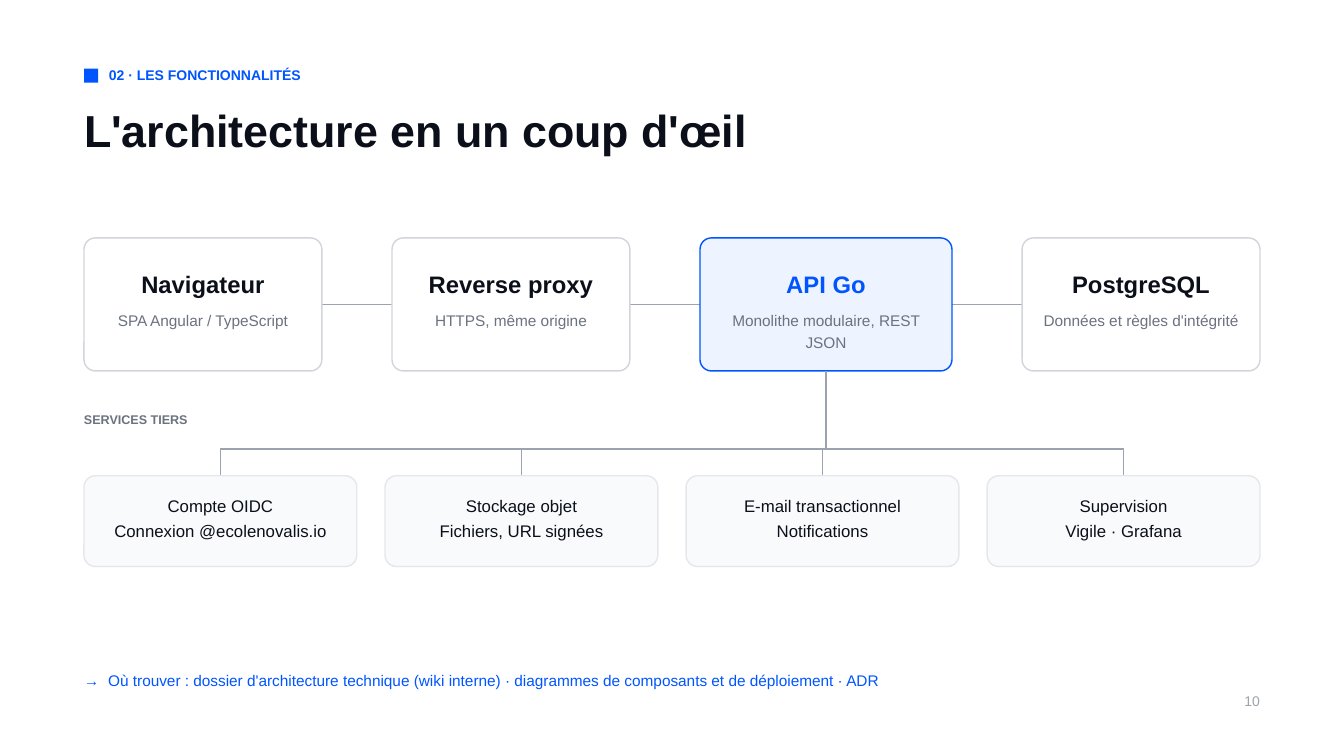
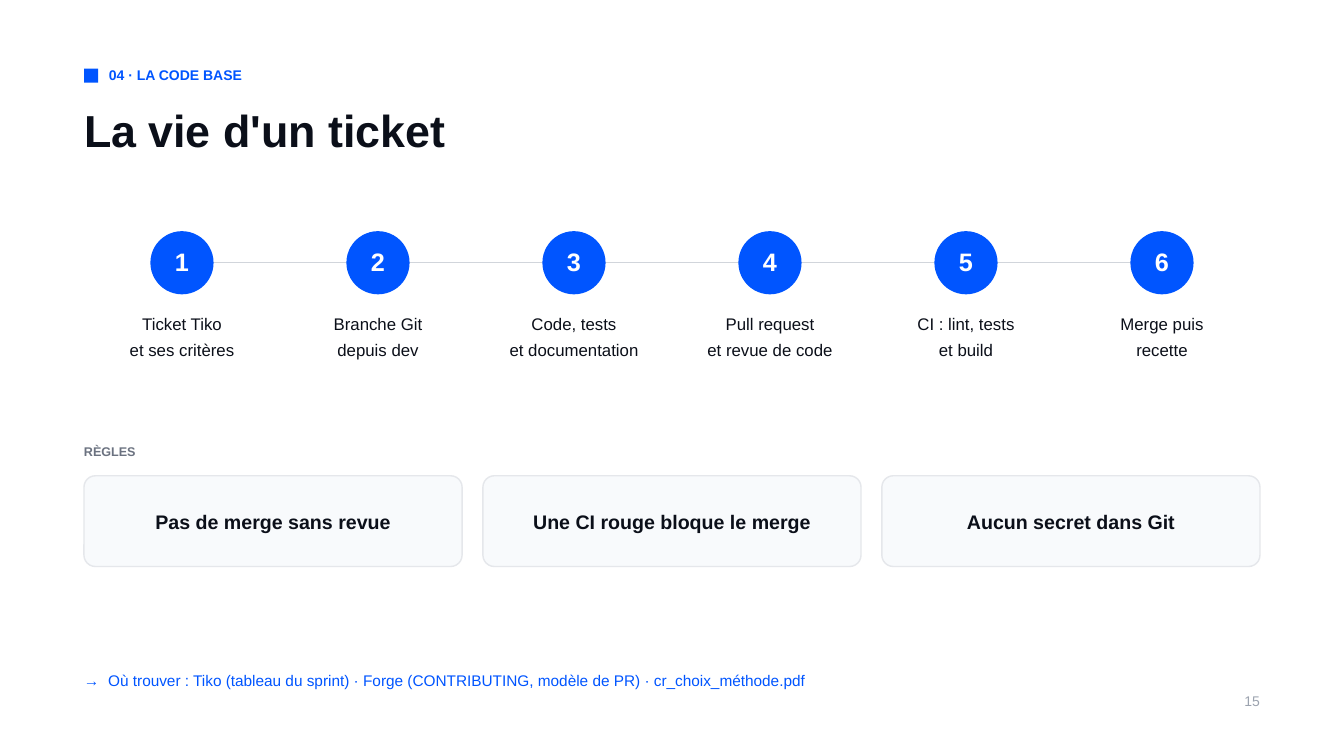
from lxml import etree
from pptx import Presentation
from pptx.dml.color import RGBColor
from pptx.enum.shapes import MSO_CONNECTOR, MSO_SHAPE
from pptx.enum.text import MSO_ANCHOR, MSO_AUTO_SIZE, PP_ALIGN
from pptx.oxml.ns import qn
from pptx.util import Inches, Pt

LEFT, CENTER, RIGHT = PP_ALIGN.LEFT, PP_ALIGN.CENTER, PP_ALIGN.RIGHT
TOP = MSO_ANCHOR.TOP
NO_AUTOFIT = MSO_AUTO_SIZE.NONE
RECTANGLE, OVAL = MSO_SHAPE.RECTANGLE, MSO_SHAPE.OVAL
ROUNDED = MSO_SHAPE.ROUNDED_RECTANGLE
STRAIGHT = MSO_CONNECTOR.STRAIGHT

FONT = "Arial"
BLUE, PALE_BLUE = "0055FF", "EEF4FF"
INK, SLATE, GREY = "0B0F19", "6B7280", "9CA3AF"
BORDER, SOFT_BORDER = "D1D5DB", "E5E7EB"
WHITE, MIST = "FFFFFF", "F8FAFC"

MARGIN, CONTENT_WIDTH = 1.25, 17.5
RADIUS = 0.17
LOWER_TOP, LOWER_HEIGHT = 7.08, 1.35

CORE = [
    ("Navigateur", "SPA Angular / TypeScript", 3.54),
    ("Reverse proxy", "HTTPS, même origine", 3.54),
    ("API Go", "Monolithe modulaire, REST JSON", 3.75),
    ("PostgreSQL", "Données et règles d'intégrité", 3.54),
]
SERVICES = [
    ("Compte OIDC", "Connexion @ecolenovalis.io"),
    ("Stockage objet", "Fichiers, URL signées"),
    ("E-mail transactionnel", "Notifications"),
    ("Supervision", "Vigile · Grafana"),
]
STEPS = [
    ("Ticket Tiko", "et ses critères"),
    ("Branche Git", "depuis dev"),
    ("Code, tests", "et documentation"),
    ("Pull request", "et revue de code"),
    ("CI : lint, tests", "et build"),
    ("Merge puis", "recette"),
]
RULES = ["Pas de merge sans revue", "Une CI rouge bloque le merge",
         "Aucun secret dans Git"]


def rgb(code):
    return RGBColor.from_string(code)


def spread(widths, gap):
    """Left edges of boxes laid side by side from the margin."""
    return [MARGIN + sum(widths[:i]) + i * gap for i in range(len(widths))]


class Deck:
    def __init__(self):
        self.prs = Presentation()
        self.prs.slide_width = Inches(20)
        self.prs.slide_height = Inches(11.25)
        self.slide = None

    def start(self, section, title, sources, number):
        """Adds a slide with its section mark, title, sources and number."""
        self.slide = self.prs.slides.add_slide(self.prs.slide_layouts[5])
        heading = self.slide.shapes.title
        heading.left, heading.top = Inches(MARGIN), Inches(1.59)
        heading.width, heading.height = Inches(CONTENT_WIDTH), Inches(0.76)
        self.fill_text(heading, [(title, 48, INK, True)], LEFT, 1.1)
        self.box(RECTANGLE, MARGIN, 1.02, 0.21, 0.21, BLUE)
        self.text(1.62, 0.95, 7.29, 0.3, [(section, 15, BLUE, True)])
        where = self.text(MARGIN, 9.94, 16.46, 0.33, [])
        paragraph = where.text_frame.paragraphs[0]
        tabs = etree.SubElement(paragraph._p.get_or_add_pPr(), qn("a:tabLst"))
        etree.SubElement(tabs, qn("a:tab"), pos=str(Inches(0.36)), algn="l")
        self.fill_text(where,
                       [("→\tOù trouver : " + sources, 16.5, BLUE, False)])
        self.text(18.12, 10.26, 0.63, 0.3, [(number, 15, GREY, False)], RIGHT)

    def fill_text(self, shape, lines, align=LEFT, leading=1.4, inset=(0, 0),
                  gap=0):
        """Fills a shape with lines of (text, size, colour, bold)."""
        frame = shape.text_frame
        frame.word_wrap = True
        frame.auto_size = NO_AUTOFIT
        frame.vertical_anchor = TOP
        side, top = inset
        frame.margin_left = frame.margin_right = Inches(side)
        frame.margin_top, frame.margin_bottom = Inches(top), 0
        for i, (words, size, color, bold) in enumerate(lines):
            paragraph = frame.add_paragraph() if i else frame.paragraphs[0]
            paragraph.alignment = align
            paragraph.line_spacing = Pt(round(size * leading, 1))
            paragraph.space_before = Pt(gap if i else 0)
            run = paragraph.add_run()
            run.text = words
            run.font.name, run.font.size, run.font.bold = FONT, Pt(size), bold
            run.font.color.rgb = rgb(color)

    def text(self, x, y, w, h, lines, align=LEFT, leading=1.4):
        area = self.slide.shapes.add_textbox(
            Inches(x), Inches(y), Inches(w), Inches(h))
        self.fill_text(area, lines, align, leading)
        return area

    def label(self, y, words):
        self.text(MARGIN, y, 4.17, 0.26, [(words, 13.5, SLATE, True)])

    def box(self, preset, x, y, w, h, fill, border=None):
        shape = self.slide.shapes.add_shape(
            preset, Inches(x), Inches(y), Inches(w), Inches(h))
        shape.shadow.inherit = False
        shape.fill.solid()
        shape.fill.fore_color.rgb = rgb(fill)
        if border:
            shape.line.color.rgb = rgb(border)
            shape.line.width = Pt(1.5)
        else:
            shape.line.fill.background()
        return shape

    def card(self, x, y, w, h, lines, inset, fill=MIST, border=SOFT_BORDER,
             leading=1.4, gap=0):
        shape = self.box(ROUNDED, x, y, w, h, fill, border)
        shape.adjustments[0] = RADIUS / min(w, h)
        self.fill_text(shape, lines, CENTER, leading, inset, gap)

    def line(self, x1, y1, x2, y2, color=GREY):
        link = self.slide.shapes.add_connector(
            STRAIGHT, Inches(x1), Inches(y1), Inches(x2), Inches(y2))
        link.line.color.rgb = rgb(color)
        link.line.width = Pt(1.5)
        etree.SubElement(link._element.spPr, qn("a:effectLst"))


def pair(lines):
    return [(words, 18, INK, False) for words in lines]


def architecture(deck):
    deck.start("02 · LES FONCTIONNALITÉS", "L'architecture en un coup d'œil",
               "dossier d'architecture technique (wiki interne) · diagrammes "
               "de composants et de déploiement · ADR", "10")
    top, height, rail = 3.54, 1.98, 6.68
    widths = [width for _, _, width in CORE]
    lefts = spread(widths, (CONTENT_WIDTH - sum(widths)) / (len(CORE) - 1))
    middle = top + height / 2
    deck.line(lefts[0] + widths[0], middle, lefts[-1], middle)
    for (name, role, width), left in zip(CORE, lefts):
        is_api = name == "API Go"
        lines = [(name, 25.5, BLUE if is_api else INK, True),
                 (role, 16.5, SLATE, False)]
        deck.card(left, top, width, height, lines, (0.16, 0.36),
                  PALE_BLUE if is_api else WHITE,
                  BLUE if is_api else BORDER, gap=10)
        if is_api:
            trunk = left + width / 2
            deck.line(trunk, top + height, trunk, rail)

    deck.label(6.1, "SERVICES TIERS")
    gap = 0.42
    width = (CONTENT_WIDTH + gap) / len(SERVICES) - gap
    lefts = spread([width] * len(SERVICES), gap)
    deck.line(lefts[0] + width / 2, rail, lefts[-1] + width / 2, rail)
    for service, left in zip(SERVICES, lefts):
        center = left + width / 2
        deck.line(center, rail, center, LOWER_TOP)
        deck.card(left, LOWER_TOP, width, LOWER_HEIGHT, pair(service),
                  (0.11, 0.17), leading=1.5)


def ticket_life(deck):
    deck.start("04 · LA CODE BASE", "La vie d'un ticket",
               "Tiko (tableau du sprint) · Forge (CONTRIBUTING, modèle de PR) "
               "· cr_choix_méthode.pdf", "15")
    diameter, middle, caption_width = 0.94, 3.91, 2.6
    pitch = CONTENT_WIDTH / len(STEPS)
    centers = [MARGIN + pitch * (i + 0.5) for i in range(len(STEPS))]
    deck.line(centers[0], middle, centers[-1], middle, BORDER)
    for number, (step, center) in enumerate(zip(STEPS, centers), 1):
        disc = deck.box(OVAL, center - diameter / 2, middle - diameter / 2,
                        diameter, diameter, BLUE)
        deck.fill_text(disc, [(str(number), 27, WHITE, True)], CENTER,
                       inset=(0, 0.02))
        deck.text(center - caption_width / 2, 4.6, caption_width, 0.76,
                  pair(step), CENTER, 1.5)

    deck.label(6.57, "RÈGLES")
    gap = 0.31
    width = (CONTENT_WIDTH + gap) / len(RULES) - gap
    for rule, left in zip(RULES, spread([width] * len(RULES), gap)):
        deck.card(left, LOWER_TOP, width, LOWER_HEIGHT,
                  [(rule, 21, INK, True)], (0.16, 0.4))


def main():
    deck = Deck()
    architecture(deck)
    ticket_life(deck)
    deck.prs.save("out.pptx")


if __name__ == "__main__":
    main()
